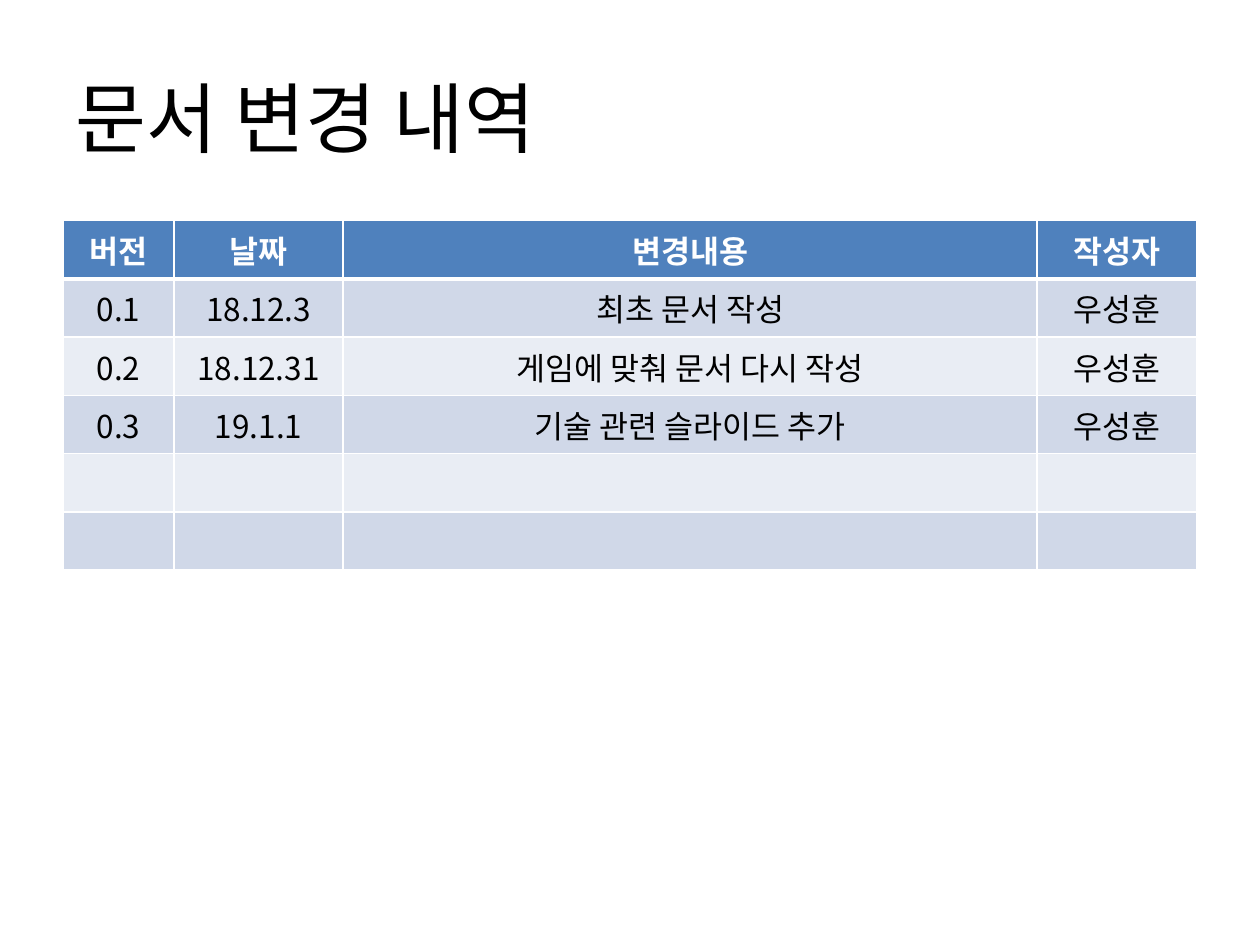
from lxml.etree import SubElement
from pptx import Presentation
from pptx.dml.color import RGBColor
from pptx.enum.text import MSO_ANCHOR as Anchor, PP_ALIGN as Align
from pptx.oxml.ns import qn
from pptx.util import Cm, Pt

FONT = "Noto Sans CJK KR"
HEADINGS = ["버전", "날짜", "변경내용", "작성자"]
CHANGES = [
    ["0.1", "18.12.3", "최초 문서 작성", "우성훈"],
    ["0.2", "18.12.31", "게임에 맞춰 문서 다시 작성", "우성훈"],
    ["0.3", "19.1.1", "기술 관련 슬라이드 추가", "우성훈"],
    [""] * 4,
    [""] * 4,
]
COLUMN_SHARES = [0.098, 0.149, 0.612, 0.141]


def color(value):
    return RGBColor.from_string(value)


def write(frame, text, size=18, fill="000000", bold=False, align=Align.CENTER):
    frame.word_wrap = True
    para = frame.paragraphs[0]
    para.alignment = align
    if not text:
        ending = SubElement(para._p, qn("a:endParaRPr"), sz=str(size * 100))
        for script in ("latin", "ea"):
            SubElement(ending, qn(f"a:{script}"), typeface=FONT)
        return
    span = para.add_run()
    span.text = text
    span.font.size = Pt(size)
    span.font.bold = bold
    span.font.color.rgb = color(fill)
    span.font.name = FONT
    SubElement(span.font._element, qn("a:ea"), typeface=FONT)


def add_borders(cell, top=1, bottom=1):
    properties = cell._tc.get_or_add_tcPr()
    for side, width in {"L": 1, "R": 1, "T": top, "B": bottom}.items():
        line = SubElement(properties, qn(f"a:ln{side}"), w=str(Pt(width)))
        solid = SubElement(line, qn("a:solidFill"))
        SubElement(solid, qn("a:srgbClr"), val="FFFFFF")


def place_title(page, left, top, width, height):
    title = page.shapes.title
    title.left, title.top, title.width, title.height = left, top, width, height
    title.text_frame.vertical_anchor = Anchor.MIDDLE
    write(title.text_frame, "문서 변경 내역", size=44, align=Align.LEFT)


def place_history(page, left, top, width, height):
    rows = [HEADINGS] + CHANGES
    table = page.shapes.add_table(
        len(rows), len(HEADINGS), left, top, width, height
    ).table
    for column, share in zip(table.columns, COLUMN_SHARES):
        column.width = round(width * share)
    for index, texts in enumerate(rows):
        header = index == 0
        background = "4F81BD" if header else ("E9EDF4", "D0D8E8")[index % 2]
        for column, text in enumerate(texts):
            cell = table.cell(index, column)
            cell.vertical_anchor = Anchor.MIDDLE
            add_borders(cell, top=3 if index == 1 else 1, bottom=3 if header else 1)
            cell.fill.solid()
            cell.fill.fore_color.rgb = color(background)
            write(cell.text_frame, text, bold=header,
                  fill="FFFFFF" if header else "000000")


def main():
    deck = Presentation()
    deck.slide_width, deck.slide_height = Cm(25.4), Cm(19.05)
    page = deck.slides.add_slide(deck.slide_layouts[5])
    place_title(page, Cm(1.27), Cm(0.76), Cm(22.86), Cm(3.18))
    place_history(page, Cm(1.27), Cm(4.45), Cm(22.86), Cm(6.18))
    deck.save("out.pptx")


if __name__ == "__main__":
    main()
